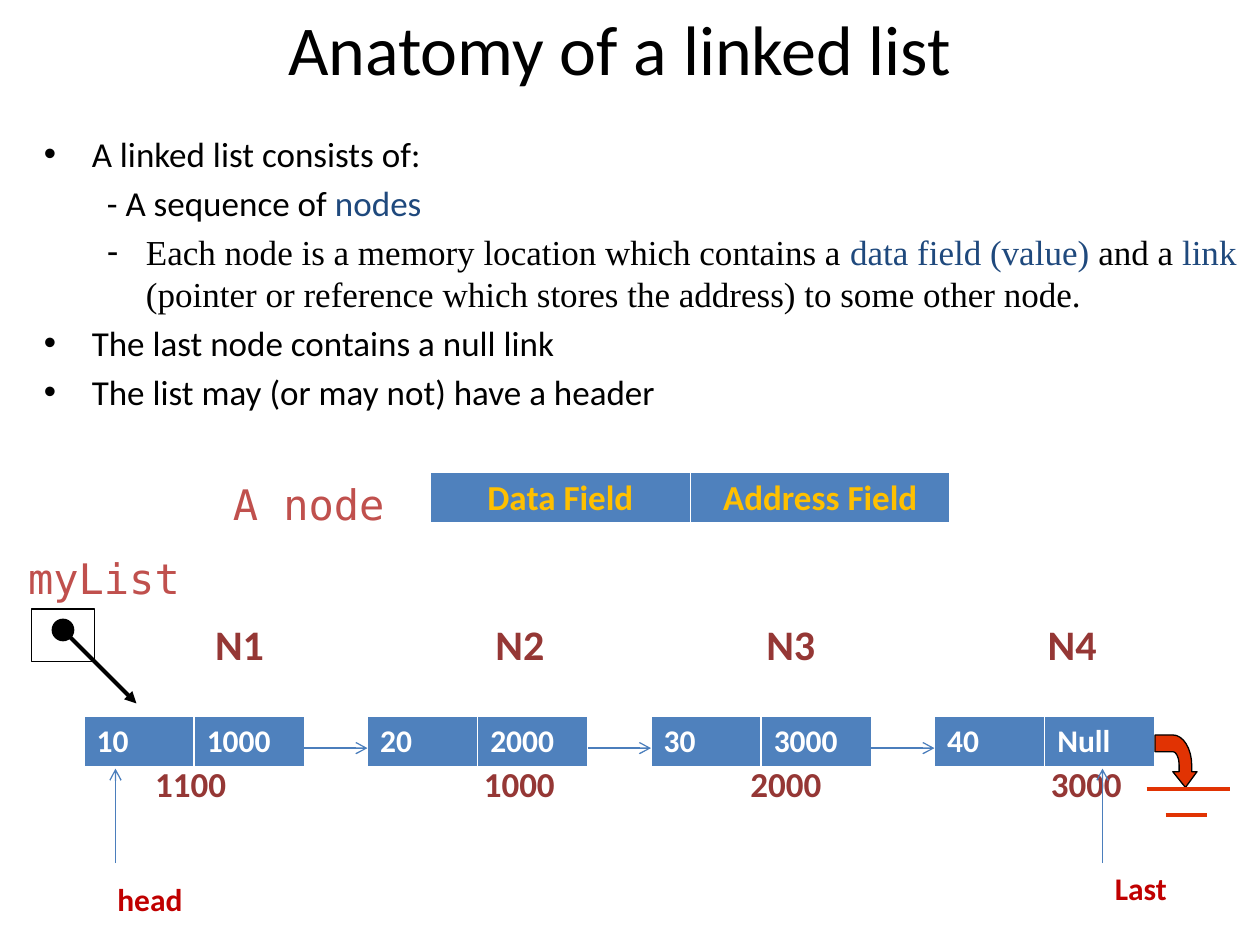
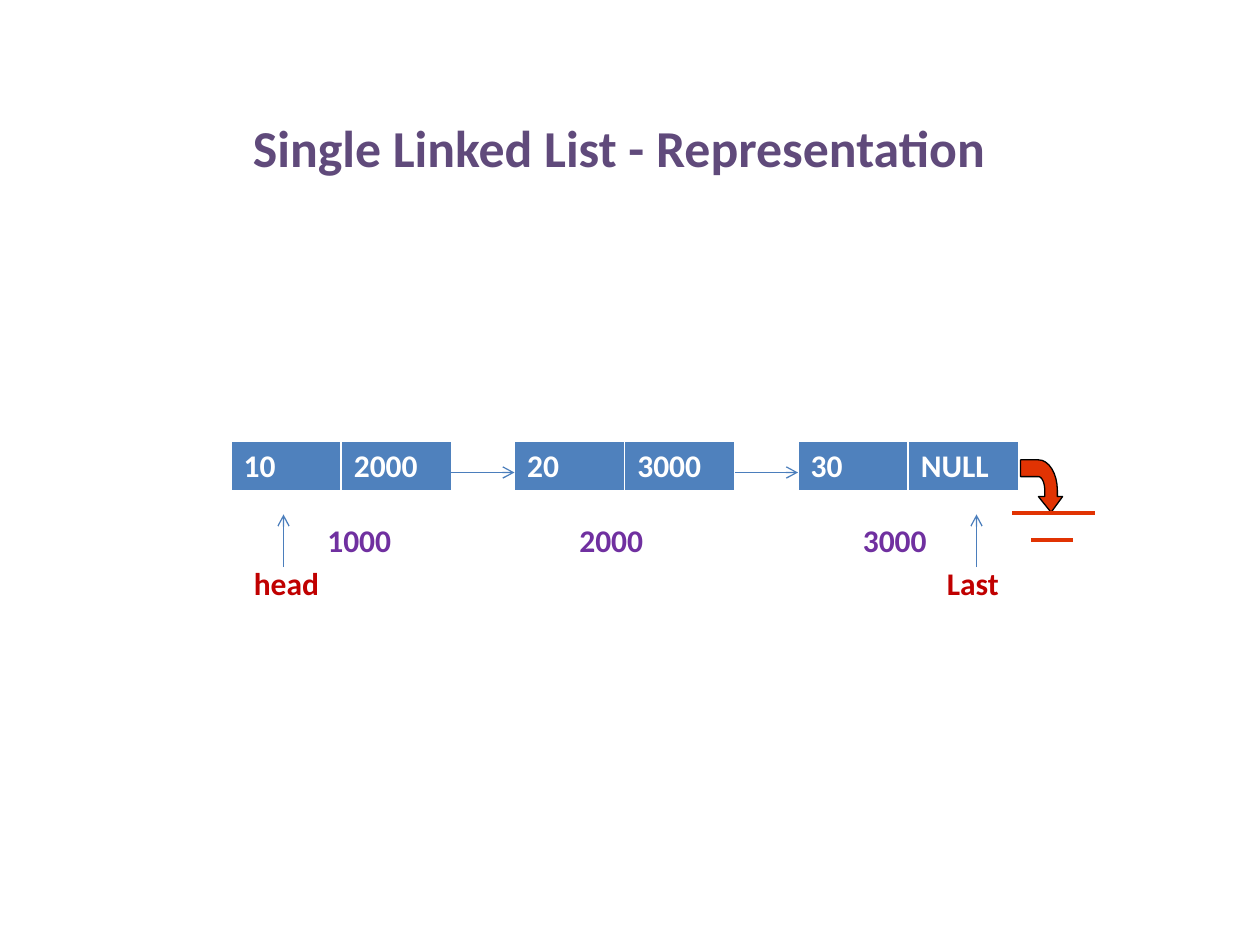
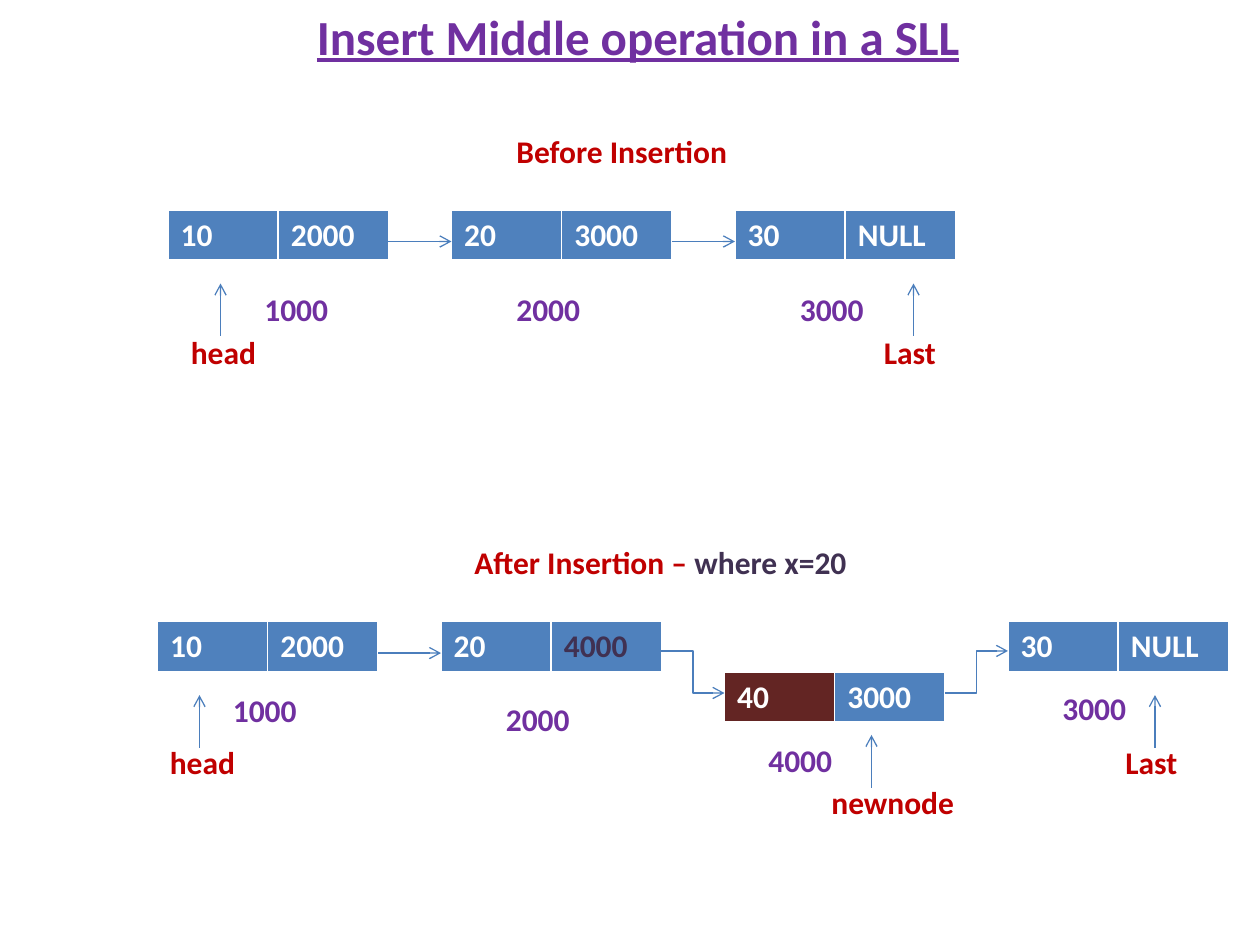
from dataclasses import dataclass
from math import cos, pi, sin

from lxml.etree import SubElement
from pptx import Presentation
from pptx.dml.color import RGBColor
from pptx.enum.shapes import MSO_CONNECTOR, MSO_SHAPE
from pptx.enum.text import MSO_ANCHOR, PP_ALIGN
from pptx.oxml.ns import qn
from pptx.util import Emu, Inches, Pt

# The grid: 120 columns by 90 rows of a twelfth of an inch each.
COLS, ROWS = 120, 90
NODE_W, NODE_H, PITCH = 21, 4.9, 27


@dataclass(frozen=True)
class Theme:
    """Colours, fonts and type sizes of the deck."""
    sans: str = "Calibri"
    serif: str = "Times New Roman"
    mono: str = "DejaVu Sans Mono"
    black: str = "000000"
    white: str = "FFFFFF"
    navy: str = "1F497D"
    blue: str = "4F81BD"
    edge: str = "4B7EBC"
    gold: str = "FFC000"
    rose: str = "C0504D"
    brick: str = "953735"
    wine: str = "632523"
    red: str = "C00000"
    flame: str = "E13303"
    violet: str = "7030A0"
    plum: str = "604A7B"
    dusk: str = "403152"

    def font(self, size, color, name=None, **more):
        """Give the format values of a run."""
        return dict(size=Pt(size), color=color, name=name or self.sans, **more)


T = Theme()
BODY = T.font(20, T.black)
LINK = T.font(20, T.navy)
PROSE = T.font(20, T.black, T.serif)
TERM = T.font(20, T.navy, T.serif)
CODE = T.font(24, T.rose, T.mono)
CELL = T.font(18, T.white, bold=True)
FIELD = T.font(20, T.gold, bold=True)
MARK = T.font(18, T.red, bold=True)
ADDR = T.font(18, T.violet, bold=True)
NEW = T.font(18, T.dusk, bold=True)


def grid(*cells):
    """Turn grid lengths into EMU."""
    return [Emu(round(Inches(1) * c / 12)) for c in cells]


def rgb(color):
    """Read a hex colour."""
    return RGBColor.from_string(color)


def write(para, runs):
    """Fill a paragraph with (text, format) runs."""
    for text, form in runs:
        run = para.add_run()
        run.text = text
        for key, value in form.items():
            if key == "color":
                run.font.color.rgb = rgb(value)
            else:
                setattr(run.font, key, value)


def label(slide, area, *runs, align=PP_ALIGN.LEFT, **frame):
    """Add a text box of one paragraph."""
    box = slide.shapes.add_textbox(*grid(*area)).text_frame
    for key, value in dict(word_wrap=True, **frame).items():
        setattr(box, key, value)
    box.paragraphs[0].alignment = align
    write(box.paragraphs[0], runs)


def points(slide, area, items):
    """Add a list of (bullet, margin, hanging, runs) items."""
    box = slide.shapes.add_textbox(*grid(*area)).text_frame
    box.word_wrap = True
    for i, (sign, margin, hang, runs) in enumerate(items):
        para = box.add_paragraph() if i else box.paragraphs[0]
        para.space_before = Pt(4)
        props = para._p.get_or_add_pPr()
        props.set("marL", str(Inches(margin)))
        props.set("indent", str(-Inches(hang)))
        if sign:
            SubElement(props, qn("a:buFont"), typeface="Arial")
            SubElement(props, qn("a:buChar"), char=sign)
        write(para, runs)


def border(cell):
    """Give a cell white edges, the lowest one thick."""
    props = cell._tc.get_or_add_tcPr()
    for side, width in dict(L=1, R=1, T=1, B=3).items():
        line = SubElement(props, qn("a:ln" + side), w=str(Pt(width)))
        fill = SubElement(line, qn("a:solidFill"))
        SubElement(fill, qn("a:srgbClr"), val=T.white)


def node(slide, x, y, texts, forms=(CELL, CELL), fills=(T.blue, T.blue),
         width=NODE_W, align=PP_ALIGN.LEFT, **frame):
    """Add a node: a table of one row with a data and an address cell."""
    area = grid(x, y, width, NODE_H)
    table = slide.shapes.add_table(1, 2, *area).table
    for cell, text, form, fill in zip(table.rows[0].cells, texts, forms, fills):
        border(cell)
        cell.fill.solid()
        cell.fill.fore_color.rgb = rgb(fill)
        for key, value in frame.items():
            setattr(cell, key, value)
        para = cell.text_frame.paragraphs[0]
        para.alignment = align
        write(para, [(text, form)])


def line(slide, ends, color=T.edge, width=0.75, tip=None,
         kind=MSO_CONNECTOR.STRAIGHT):
    """Add a line, with an arrowhead at its end if a tip is named."""
    link = slide.shapes.add_connector(kind, *grid(*ends))
    link.line.color.rgb = rgb(color)
    link.line.width = Pt(width)
    if tip:
        SubElement(link.line._get_or_add_ln(), qn("a:tailEnd"), type=tip)
    SubElement(link._element.spPr, qn("a:effectLst"))


def paint(shape, fill, width):
    """Give a shape its fill and a black outline."""
    shape.shadow.inherit = False
    if fill:
        shape.fill.solid()
        shape.fill.fore_color.rgb = rgb(fill)
    else:
        shape.fill.background()
    shape.line.color.rgb = rgb(T.black)
    shape.line.width = Pt(width)


def arc(rx, ry, turns):
    """Sample a quarter of the hook's bend."""
    return [(1.7 + rx * cos(t * pi / 16), 2.9 - ry * sin(t * pi / 16))
            for t in turns]


def ground(slide, x, y):
    """Add the null sign: a bent arrow over two bars."""
    dots = [(2.9, 5), (4, 3.5), (3.5, 3.5), *arc(1.8, 2.9, range(9)),
            (0, 0), (0, 1.6), *arc(0.6, 1.3, range(8, -1, -1)),
            (2.3, 3.5), (1.7, 3.5)]
    dots = [grid(x + dx, y + dy) for dx, dy in dots]
    path = slide.shapes.build_freeform(*dots[0], scale=1.0)
    path.add_line_segments(dots[1:], close=True)
    paint(path.convert_to_shape(), T.flame, 0.75)
    for start, end, drop in ((-0.8, 7.1, 5.1), (1, 5, 7.6)):
        line(slide, (x + start, y + drop, x + end, y + drop), T.flame, 2.25)


def pointer(slide, x, low, high):
    """Add an upward arrow."""
    line(slide, (x, low, x, high), tip="arrow")


def tag(slide, x, y, text, form=MARK, width=11):
    """Add a short label."""
    label(slide, (x, y, width, 4.8), (text, form))


def chain(slide, x, y, pairs):
    """Add a row of nodes joined by arrows."""
    for i, pair in enumerate(pairs):
        left = x + i * PITCH
        node(slide, left, y, pair)
        if i:
            line(slide, (left - PITCH + NODE_W, y + 3, left, y + 3),
                 tip="arrow")


def trio(slide, x, y):
    """Add the list of three nodes with addresses, head and last."""
    chain(slide, x, y, (("10", "2000"), ("20", "3000"), ("30", "NULL")))
    for i, text in enumerate(("1000", "2000", "3000")):
        tag(slide, x + i * PITCH + (5 if i else 8), y + 7, text, ADDR)
    for dx, shift, text in ((5, -4, "head"), (71, -4, "Last")):
        pointer(slide, x + dx, y + 12, y + 7)
        tag(slide, x + dx + shift, y + 11.1, text)


def anatomy(slide):
    """Build the slide on the parts of a linked list."""
    label(slide, (5, -3, 108, 15),
          ("Anatomy of a linked list", T.font(40, T.black)),
          align=PP_ALIGN.CENTER, vertical_anchor=MSO_ANCHOR.MIDDLE)
    points(slide, (3, 12, 117, 76), (
        ("•", 0.38, 0.38, [("A linked list consists of:", BODY)]),
        (None, 0.5, 0, [("- A sequence of ", BODY), ("nodes", LINK)]),
        ("-", 0.81, 0.31, [
            ("Each node is a memory location which contains a ", PROSE),
            ("data field (value) ", TERM), ("and a ", PROSE), ("link", TERM),
            (" (pointer or reference which stores the address) to some "
             "other node.", PROSE)]),
        ("•", 0.38, 0.38, [("The last node contains a null link", BODY)]),
        ("•", 0.38, 0.38, [("The list may (or may not) have a header", BODY)]),
    ))
    names = zip((19.3, 46, 71.8, 98.6), ("N1", "N2", "N3", "N4"))
    for x, text in names:
        label(slide, (x, 58.3, 8, 6), (text, T.font(24, T.brick, bold=True)))
    spots = zip((13.6, 44.9, 70.3, 98.9), ("1100", "1000", "2000", "3000"))
    for x, text in spots:
        tag(slide, x, 72, text, T.font(20, T.brick, bold=True))
    chain(slide, 8, 68.25, (("10", "1000"), ("20", "2000"),
                            ("30", "3000"), ("40", "Null")))
    for x in (11, 105):
        pointer(slide, x, 82.2, 73.2)
    tag(slide, 10, 83.2, "head")
    tag(slide, 105, 82.2, "Last")
    ground(slide, 110, 70)
    for kind, area, fill in ((MSO_SHAPE.OVAL, (5, 59, 2, 2), T.black),
                             (MSO_SHAPE.RECTANGLE, (3, 58, 6, 5), None)):
        paint(slide.shapes.add_shape(kind, *grid(*area)), fill, 1)
    line(slide, (6, 60, 13, 67), T.black, 2.25, "triangle")
    label(slide, (1.5, 52, 17, 6), ("myList", CODE))
    label(slide, (21, 45, 17, 6), ("A node", CODE))
    node(slide, 41, 45, ("Data Field", "Address Field"), (FIELD, FIELD),
         width=49.5, align=PP_ALIGN.CENTER, margin_top=Inches(0.03),
         margin_bottom=Inches(0.03), vertical_anchor=MSO_ANCHOR.MIDDLE)


def single(slide):
    """Build the slide that shows a single linked list."""
    label(slide, (3, 3, 112, 82),
          ("Single Linked List - Representation",
           T.font(29.6, T.plum, bold=True)),
          align=PP_ALIGN.CENTER, margin_top=grid(8)[0])
    trio(slide, 22, 42)
    ground(slide, 97.2, 43.8)


def insert(slide):
    """Build the slide on putting a node in the middle."""
    label(slide, (29, 0, 74, 6.8),
          ("Insert Middle operation in a SLL",
           T.font(28, T.violet, bold=True, underline=True)))
    tag(slide, 48, 12, "Before Insertion", width=27)
    trio(slide, 16, 20)

    label(slide, (44, 51.1, 51, 4.8),
          ("After Insertion – ", MARK), ("where x=20", NEW))
    top = 59.2
    node(slide, 15, top, ("10", "2000"))
    node(slide, 42, top, ("20", "4000"), (CELL, NEW))
    node(slide, 69, 64, ("40", "3000"), fills=(T.wine, T.blue))
    node(slide, 96, top, ("30", "NULL"))
    line(slide, (36, top + 3, 42, top + 3), tip="arrow")
    for ends in ((63, 62, 69, 66), (90, 66, 96, 62)):
        line(slide, ends, tip="arrow", kind=MSO_CONNECTOR.ELBOW)
    for x, y, text in ((21, 65.2, "1000"), (47, 66.1, "2000"),
                       (72, 70, "4000"), (100, 65, "3000")):
        tag(slide, x, y, text, ADDR)
    for x, low, left, text in ((19, 71.2, 15, "head"),
                               (83, 75, 78, "newnode"),
                               (110, 71.2, 106, "Last")):
        pointer(slide, x, low, low - 5)
        tag(slide, left, low - 1, text, width=16 if text == "newnode" else 11)


def main():
    """Build the deck and save it."""
    deck = Presentation()
    deck.slide_width, deck.slide_height = grid(COLS, ROWS)
    for build in (anatomy, single, insert):
        build(deck.slides.add_slide(deck.slide_layouts[6]))
    deck.save("out.pptx")


main()
